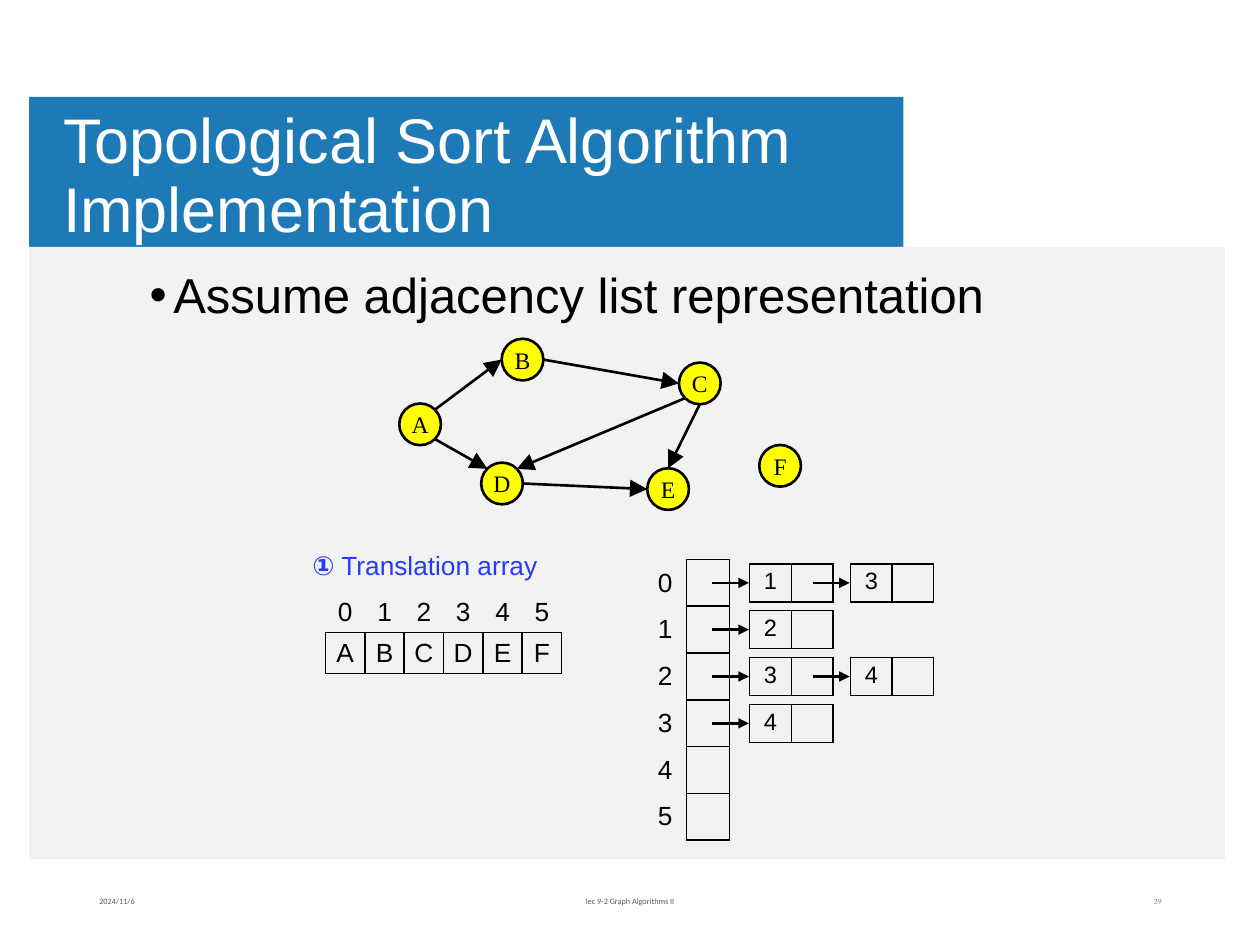
from dataclasses import dataclass
from math import hypot
from typing import Optional, Sequence

from lxml.etree import SubElement
from pptx import Presentation
from pptx.dml.color import RGBColor
from pptx.enum.shapes import MSO_CONNECTOR, MSO_SHAPE
from pptx.enum.text import MSO_ANCHOR, MSO_AUTO_SIZE, PP_ALIGN
from pptx.oxml.ns import qn
from pptx.util import Pt

BLACK = RGBColor(0x00, 0x00, 0x00)
WHITE = RGBColor(0xFF, 0xFF, 0xFF)
BANNER = RGBColor(0x1E, 0x7A, 0xB6)
PANEL = RGBColor(0xF2, 0xF2, 0xF2)
YELLOW = RGBColor(0xFF, 0xFF, 0x00)
BLUE = RGBColor(0x26, 0x3A, 0xF8)
FOOTER = RGBColor(0x59, 0x59, 0x59)
PAGE = RGBColor(0x8C, 0x8C, 0x8C)

NO_GRID_STYLE = "{2D5ABB26-0587-4C30-8999-92F81FD0307C}"
DIAMETER = 23.8


@dataclass(frozen=True)
class Vertex:
    name: str
    left: float
    top: float

    def rim(self, dx: int, dy: int) -> tuple[float, float]:
        """Point on the circle in the direction (dx, dy)."""
        radius = DIAMETER / 2
        scale = radius / hypot(dx, dy)
        return self.left + radius + dx * scale, self.top + radius + dy * scale


@dataclass(frozen=True)
class Edge:
    start: str
    start_side: tuple[int, int]
    end: str
    end_side: tuple[int, int]


@dataclass(frozen=True)
class Footer:
    text: str
    left: float
    width: float
    align: PP_ALIGN
    color: RGBColor


VERTICES = {v.name: v for v in (
    Vertex("A", 228.2, 230.6), Vertex("B", 286.7, 193.6),
    Vertex("C", 388, 207.2), Vertex("D", 275, 264.4),
    Vertex("E", 369.9, 267.6), Vertex("F", 433.9, 254.3),
)}
EDGES = (
    Edge("A", (1, -1), "B", (-1, 0)), Edge("A", (1, 1), "D", (-1, -1)),
    Edge("B", (1, 0), "C", (-1, 0)), Edge("C", (-1, 1), "D", (1, -1)),
    Edge("C", (0, 1), "E", (0, -1)), Edge("D", (1, 0), "E", (-1, 0)),
)
ADJACENCY = (("1", "3"), ("2",), ("3", "4"), ("4",), (), ())
FOOTERS = (
    Footer("2024/11/6", 49.7, 162, PP_ALIGN.LEFT, FOOTER),
    Footer("lec 9-2 Graph Algorithms II", 238.3, 243.4, PP_ALIGN.CENTER, FOOTER),
    Footer("39", 509, 162, PP_ALIGN.RIGHT, PAGE),
)


def add_run(p, text: str, size: float, color: RGBColor = BLACK,
            font: str = "Arial", bold: bool = False) -> None:
    r = p.add_run()
    r.text = text
    r.font.name, r.font.size, r.font.bold = font, Pt(size), bold
    r.font.color.rgb = color


def add_text_box(s, left: float, top: float, width: float, height: float):
    tf = s.shapes.add_textbox(Pt(left), Pt(top), Pt(width), Pt(height)).text_frame
    tf.word_wrap = True
    return tf


def add_filled(s, preset: MSO_SHAPE, left: float, top: float,
               width: float, height: float, color: RGBColor):
    sp = s.shapes.add_shape(preset, Pt(left), Pt(top), Pt(width), Pt(height))
    sp.shadow.inherit = False
    sp.fill.solid()
    sp.fill.fore_color.rgb = color
    sp.line.fill.background()
    return sp


def add_vertex(s, v: Vertex) -> None:
    sp = add_filled(s, MSO_SHAPE.OVAL, v.left, v.top, DIAMETER, DIAMETER, YELLOW)
    sp.line.color.rgb, sp.line.width = BLACK, Pt(1.5)
    tf = sp.text_frame
    tf.word_wrap = False
    tf.vertical_anchor = MSO_ANCHOR.MIDDLE
    p = tf.paragraphs[0]
    p.alignment = PP_ALIGN.CENTER
    add_run(p, v.name, 13.5, font="Times New Roman")


def add_arrow(s, start: tuple[float, float], end: tuple[float, float], head: str) -> None:
    c = s.shapes.add_connector(MSO_CONNECTOR.STRAIGHT, *map(Pt, start + end))
    c.line.color.rgb, c.line.width = BLACK, Pt(1.5)
    SubElement(c.line._get_or_add_ln(), qn("a:tailEnd"), type="triangle", w=head, len=head)
    SubElement(c.element.spPr, qn("a:effectLst"))


def add_border(cell) -> None:
    tc_pr = cell._tc.get_or_add_tcPr()
    for i, side in enumerate(("lnL", "lnR", "lnT", "lnB")):
        ln = tc_pr.makeelement(qn(f"a:{side}"), {"w": str(Pt(1))})
        fill = SubElement(ln, qn("a:solidFill"))
        SubElement(fill, qn("a:srgbClr"), val=str(BLACK))
        tc_pr.insert(i, ln)


def add_grid(s, left: float, top: float, col: float, row: float,
             rows: Sequence[Sequence[Optional[str]]], size: float = 15,
             border: bool = True, anchor: MSO_ANCHOR = MSO_ANCHOR.MIDDLE) -> None:
    n_rows, n_cols = len(rows), len(rows[0])
    frame = s.shapes.add_table(n_rows, n_cols, Pt(left), Pt(top),
                               Pt(col * n_cols), Pt(row * n_rows))
    frame.element.find(".//" + qn("a:tableStyleId")).text = NO_GRID_STYLE
    table = frame.table
    table.first_row = table.horz_banding = False
    for i, texts in enumerate(rows):
        table.rows[i].height = Pt(row)
        for j, text in enumerate(texts):
            table.columns[j].width = Pt(col)
            cell = table.cell(i, j)
            cell.fill.background()
            cell.vertical_anchor = anchor
            cell.margin_left = cell.margin_right = Pt(5)
            cell.margin_top = cell.margin_bottom = Pt(2.7)
            p = cell.text_frame.paragraphs[0]
            p.alignment = PP_ALIGN.CENTER
            if text:
                add_run(p, text, size)
            else:
                SubElement(p._p, qn("a:endParaRPr"), sz="1000")
            if border:
                add_border(cell)


def add_header(s) -> None:
    title = s.shapes.title
    for box, color in (((16.6, 55.4, 499.7, 120.2), BANNER),
                       ((16.6, 141.1, 683.3, 349.9), PANEL)):
        title.element.addprevious(add_filled(s, MSO_SHAPE.RECTANGLE, *box, color).element)
    title.left, title.top, title.width, title.height = map(Pt, (31, 66.2, 578.2, 70.6))
    tf = title.text_frame
    tf.word_wrap, tf.auto_size = True, MSO_AUTO_SIZE.NONE
    tf.vertical_anchor = MSO_ANCHOR.MIDDLE
    tf.margin_left = tf.margin_right = Pt(5)
    tf.margin_top = tf.margin_bottom = Pt(2.7)
    p = tf.paragraphs[0]
    p.alignment, p.line_spacing = PP_ALIGN.LEFT, 0.9
    add_run(p, "Topological Sort Algorithm Implementation", 36, WHITE)

    p = add_text_box(s, 78.5, 151.2, 640, 48.2).paragraphs[0]
    p.line_spacing = 0.9
    p_pr = p._p.get_or_add_pPr()
    p_pr.set("marL", str(Pt(13.5)))
    p_pr.set("indent", str(-Pt(13.5)))
    SubElement(p_pr, qn("a:buFont"), typeface="Arial")
    SubElement(p_pr, qn("a:buChar"), char="•")
    add_run(p, "Assume adjacency list representation", 28)


def add_translation_array(s) -> None:
    p = add_text_box(s, 171.4, 310.3, 167.8, 25.2).paragraphs[0]
    add_run(p, "①", 15, BLUE, bold=True)
    add_run(p, " Translation array", 15, BLUE)
    add_grid(s, 186, 361.3, 22.5, 23.6, ["ABCDEF"])
    add_grid(s, 186, 338, 22.5, 23.6, ["012345"], border=False)


def add_adjacency_list(s) -> None:
    left, top, col, row = 392.4, 319.7, 24.5, 26.75
    node_left, node_step, node_col, node_row = 428.4, 57.6, 23.8, 21.8
    n = len(ADJACENCY)
    add_grid(s, left, top, col, row, [[None]] * n)
    add_grid(s, left - col, top, col, row, [[str(i)] for i in range(n)], border=False)
    for i, neighbours in enumerate(ADJACENCY):
        middle = top + (i + 0.5) * row
        for j, target in enumerate(neighbours):
            x = node_left + j * node_step
            add_grid(s, x, middle - node_row / 2, node_col, node_row,
                     [[target, None]], 13.5, anchor=MSO_ANCHOR.TOP)
            add_arrow(s, (x - 21.5, middle), (x - 0.5, middle), "med")


def main() -> None:
    prs = Presentation()
    prs.slide_width, prs.slide_height = Pt(720), Pt(540)
    s = prs.slides.add_slide(prs.slide_layouts[5])
    add_header(s)
    for f in FOOTERS:
        tf = add_text_box(s, f.left, 500.4, f.width, 28.8)
        tf.vertical_anchor = MSO_ANCHOR.MIDDLE
        tf.paragraphs[0].alignment = f.align
        add_run(tf.paragraphs[0], f.text, 4.7, f.color, "Calibri")
    for v in VERTICES.values():
        add_vertex(s, v)
    for e in EDGES:
        add_arrow(s, VERTICES[e.start].rim(*e.start_side),
                  VERTICES[e.end].rim(*e.end_side), "lg")
    add_translation_array(s)
    add_adjacency_list(s)
    prs.save("out.pptx")


if __name__ == "__main__":
    main()
